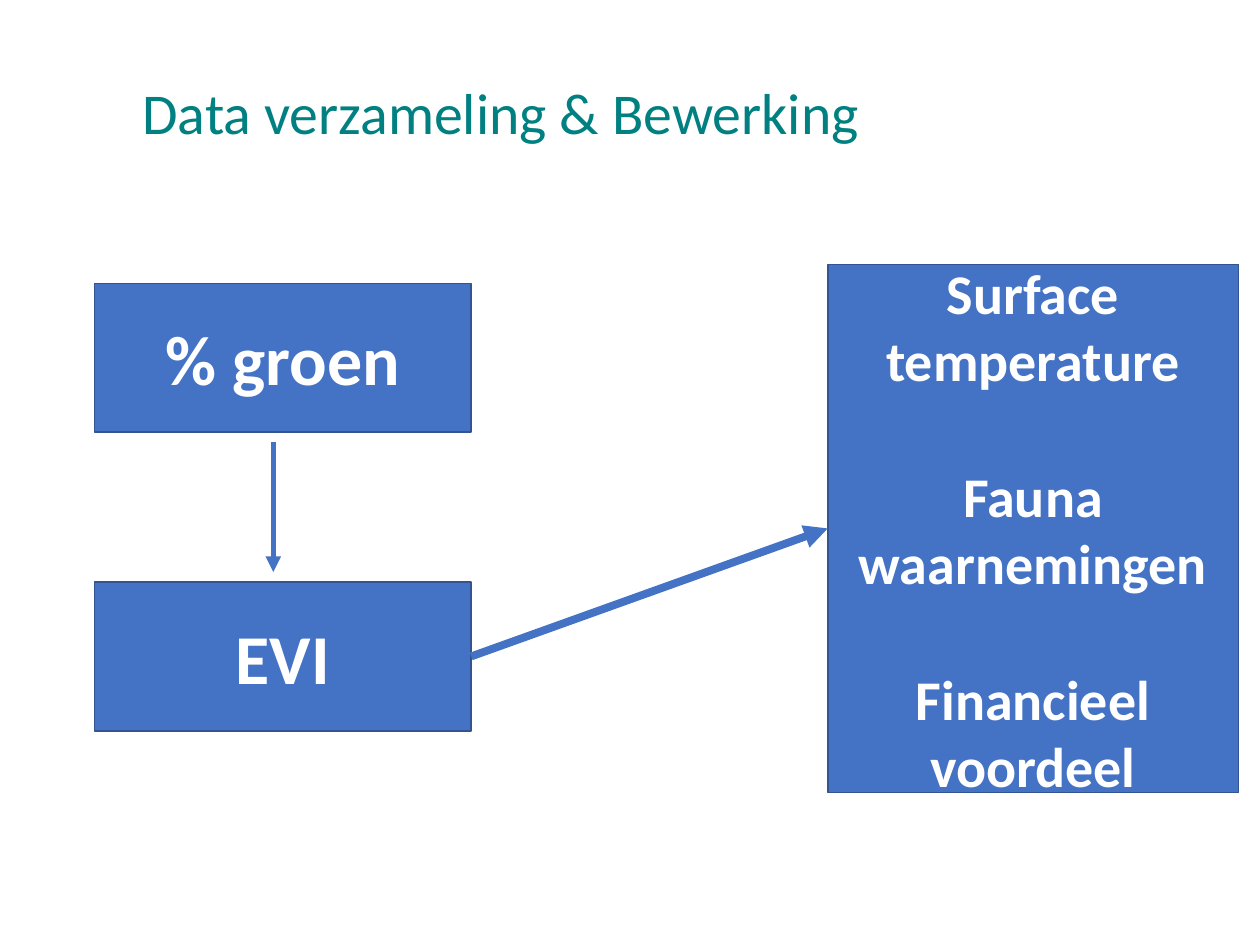
from lxml import etree
from pptx import Presentation
from pptx.dml.color import RGBColor
from pptx.enum.shapes import MSO_CONNECTOR, MSO_SHAPE
from pptx.enum.text import MSO_ANCHOR, MSO_AUTO_SIZE, PP_ALIGN
from pptx.oxml.ns import qn
from pptx.util import Pt

RECTANGLE = MSO_SHAPE.RECTANGLE
STRAIGHT = MSO_CONNECTOR.STRAIGHT
MIDDLE = MSO_ANCHOR.MIDDLE
NO_AUTOFIT = MSO_AUTO_SIZE.NONE
LEFT, CENTER = PP_ALIGN.LEFT, PP_ALIGN.CENTER

FONT = "Calibri"
BLUE, DARK_BLUE, TEAL, WHITE = "4472C4", "325491", "008080", "FFFFFF"


def color(hex_string):
    return RGBColor.from_string(hex_string)


def write_lines(shape, lines, size, hex_string, bold, alignment):
    """Fill a shape with paragraphs that share one format."""
    text_frame = shape.text_frame
    text_frame.text = "\n".join(lines)
    text_frame.word_wrap = True
    text_frame.auto_size = NO_AUTOFIT
    text_frame.vertical_anchor = MIDDLE
    for paragraph in text_frame.paragraphs:
        paragraph.alignment = alignment
        for run in paragraph.runs:
            run.font.name = FONT
            run.font.size = Pt(size)
            run.font.bold = bold
            run.font.color.rgb = color(hex_string)


presentation = Presentation()
presentation.slide_width = Pt(720)
presentation.slide_height = Pt(540)
slide = presentation.slides.add_slide(presentation.slide_layouts[5])

title = slide.shapes.title
title.left, title.top, title.width, title.height = Pt(74.2), Pt(20.9), Pt(609.8), Pt(90)
write_lines(title, ["Data verzameling & Bewerking"], 33, TEAL, False, LEFT)
title.text_frame.paragraphs[0].line_spacing = 0.9

# Boxes: left, top, width, height, font size, lines
boxes = [
    (54, 162, 215.3, 85, 40, ["% groen"]),
    (473, 151.2, 234.7, 301.7, 32,
     ["Surface temperature", "Fauna waarnemingen", "Financieel voordeel"]),
    (54, 332.6, 215.3, 85, 40, ["EVI"]),
]
for left, top, width, height, size, lines in boxes:
    box = slide.shapes.add_shape(RECTANGLE, Pt(left), Pt(top), Pt(width), Pt(height))
    box.shadow.inherit = False
    box.fill.solid()
    box.fill.fore_color.rgb = color(BLUE)
    box.line.color.rgb = color(DARK_BLUE)
    box.line.width = Pt(1)
    write_lines(box, lines, size, WHITE, True, CENTER)
    for paragraph in box.text_frame.paragraphs[1:]:
        paragraph.space_before = Pt(39)

# Arrows: start x, start y, end x, end y, line width
arrows = [
    (269.3, 375.1, 473, 302, 4.5),
    (156.2, 252.7, 156.2, 326.9, 3),
]
for start_x, start_y, end_x, end_y, width in arrows:
    arrow = slide.shapes.add_connector(
        STRAIGHT, Pt(start_x), Pt(start_y), Pt(end_x), Pt(end_y))
    arrow.line.color.rgb = color(BLUE)
    arrow.line.width = Pt(width)
    etree.SubElement(arrow.line._get_or_add_ln(), qn("a:tailEnd"), type="triangle")
    etree.SubElement(arrow._element.spPr, qn("a:effectLst"))

presentation.save("out.pptx")
